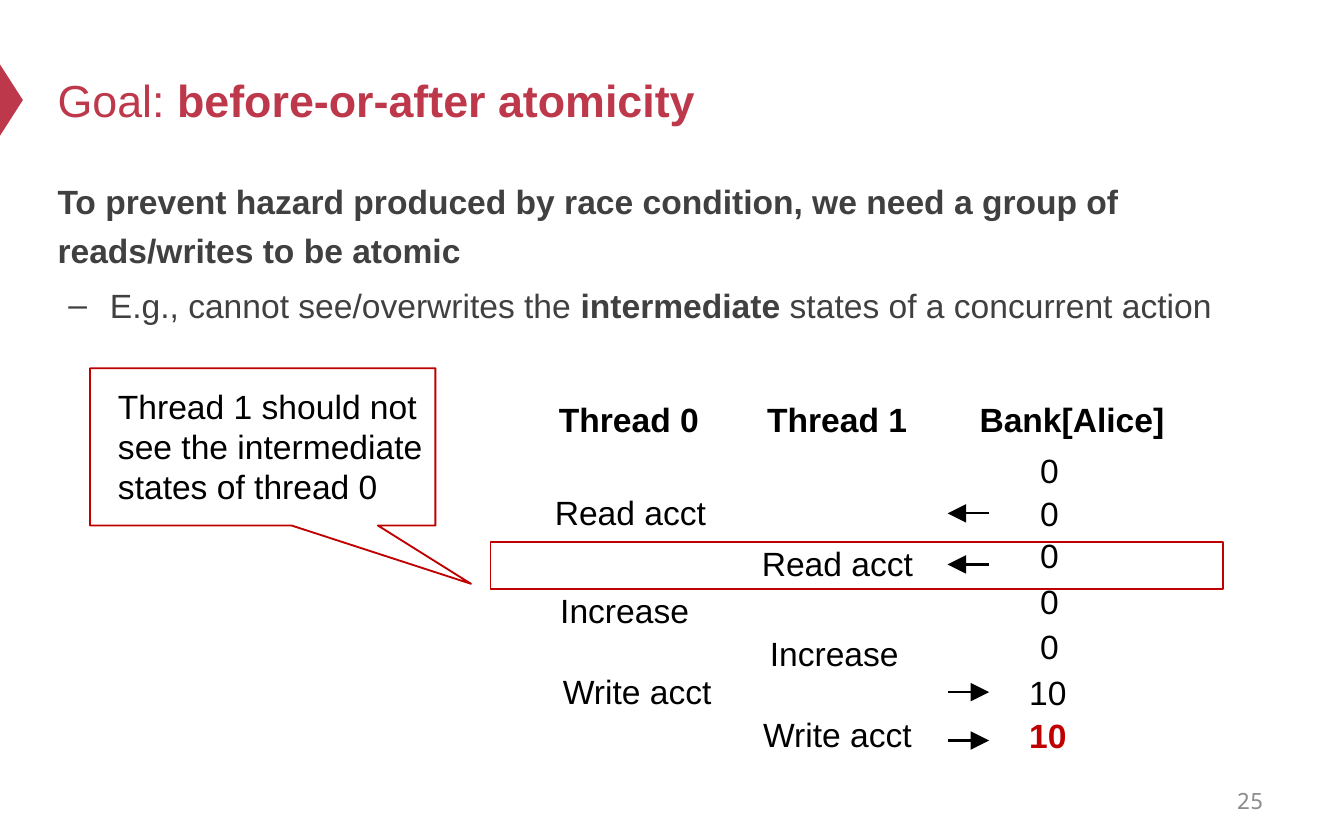
from lxml import etree
from pptx import Presentation
from pptx.dml.color import RGBColor
from pptx.enum.shapes import MSO_CONNECTOR, MSO_SHAPE
from pptx.enum.text import MSO_ANCHOR, PP_ALIGN
from pptx.oxml.ns import qn
from pptx.util import Inches, Pt

STRAIGHT = MSO_CONNECTOR.STRAIGHT
TRIANGLE = MSO_SHAPE.ISOSCELES_TRIANGLE
RECT = MSO_SHAPE.RECTANGLE
CALLOUT = MSO_SHAPE.RECTANGULAR_CALLOUT
TOP, MIDDLE = MSO_ANCHOR.TOP, MSO_ANCHOR.MIDDLE
LEFT, RIGHT = PP_ALIGN.LEFT, PP_ALIGN.RIGHT

COLORS = {"rose": "BE384B", "red": "C00000", "black": "000000",
          "dark": "404040", "gray": "8C8C8C"}


def color(name):
    return RGBColor.from_string(COLORS[name])


def write(text, box=None, frame=None, size=18, font="Arial", fill="black",
          bold=False, wrap=False, anchor=TOP, align=LEFT, line=None,
          before=0, bullet=None):
    if frame is None:
        frame = slide.shapes.add_textbox(*map(Inches, box)).text_frame
        frame.word_wrap = wrap
        frame.vertical_anchor = anchor
        par = frame.paragraphs[0]
    else:
        par = frame.add_paragraph()
    par.alignment = align
    par.space_before = Pt(before)
    if line:
        par.line_spacing = line
    if bullet:
        props = par._p.get_or_add_pPr()
        props.set("marL", str(Inches(0.39)))
        props.set("indent", str(Inches(-0.31)))
        etree.SubElement(props, qn("a:buFont"), typeface=font)
        etree.SubElement(props, qn("a:buChar"), char=bullet)
    parts = [(text, bold)] if isinstance(text, str) else text
    for words, heavy in parts:
        run = par.add_run()
        run.text = words
        run.font.name = font
        run.font.size = Pt(size)
        run.font.bold = heavy
        run.font.color.rgb = color(fill)
    return frame


prs = Presentation()
prs.slide_width, prs.slide_height = Inches(10), Inches(6.25)
slide = prs.slides.add_slide(prs.slide_layouts[6])

mark = slide.shapes.add_shape(TRIANGLE, *map(Inches, (-0.18, 0.66, 0.53, 0.17)))
mark.rotation = 90
mark.shadow.inherit = False
mark.fill.solid()
mark.fill.fore_color.rgb = color("rose")
mark.line.fill.background()

write([("Goal: ", False), ("before-or-after atomicity", True)],
      (0.33, 0.25, 9, 0.98), size=24, fill="rose", wrap=True, anchor=MIDDLE)
body = write("To prevent hazard produced by race condition, we need a group of "
             "reads/writes to be atomic", (0.33, 1.24, 9, 4.12),
             fill="dark", bold=True, wrap=True, line=1.2)
write([("E.g., cannot see/overwrites the ", False), ("intermediate", True),
       (" states of a concurrent action", False)],
      frame=body, fill="dark", line=1.2, before=3.6, bullet="–")
write("25", (7.17, 5.79, 2.33, 0.33), size=12, font="Noto Sans Mono",
      fill="gray", wrap=True, anchor=MIDDLE, align=RIGHT)

for text, left, width in (("Thread 0", 4.06, 1.25), ("Thread 1", 5.61, 1.25),
                          ("Bank[Alice]", 7.19, 1.59)):
    write(text, (left, 2.92, width, 0.4), bold=True)

for text, left, top, width in (
        ("Read acct", 4.03, 3.61, 1.34), ("Read acct", 5.57, 3.99, 1.34),
        ("Increase", 4.07, 4.34, 1.24), ("Increase", 5.63, 4.66, 1.24),
        ("Write acct", 4.09, 4.94, 1.32), ("Write acct", 5.58, 5.26, 1.32)):
    write(text, (left, top, width, 0.4))

for top in (3.3, 3.62, 3.93, 4.27, 4.61):
    write("0", (7.64, top, 0.34, 0.4))
write("10", (7.56, 4.95, 0.5, 0.4))
write("10", (7.56, 5.27, 0.5, 0.4), fill="red", bold=True)

for y, start, end in ((3.82, 7.36, 7.05), (4.2, 7.36, 7.05),
                      (5.15, 7.05, 7.36), (5.51, 7.05, 7.36)):
    arrow = slide.shapes.add_connector(STRAIGHT, Inches(start), Inches(y),
                                       Inches(end), Inches(y))
    arrow.line.color.rgb = color("black")
    arrow.line.width = Pt(1.2)
    etree.SubElement(arrow.line._get_or_add_ln(), qn("a:tailEnd"),
                     type="triangle", w="lg", len="lg")
    etree.SubElement(arrow._element.spPr, qn("a:effectLst"))

for kind, box in ((RECT, (3.65, 4.03, 5.45, 0.35)),
                  (CALLOUT, (0.67, 2.74, 2.57, 1.17))):
    frame = slide.shapes.add_shape(kind, *map(Inches, box))
    frame.shadow.inherit = False
    frame.fill.background()
    frame.line.color.rgb = color("red")
    frame.line.width = Pt(1)
    if kind == CALLOUT:
        frame.adjustments[0] = 0.603
        frame.adjustments[1] = 0.871

write("Thread 1 should not see the intermediate states of thread 0",
      (0.78, 2.82, 2.66, 1.01), wrap=True)

prs.save("out.pptx")
